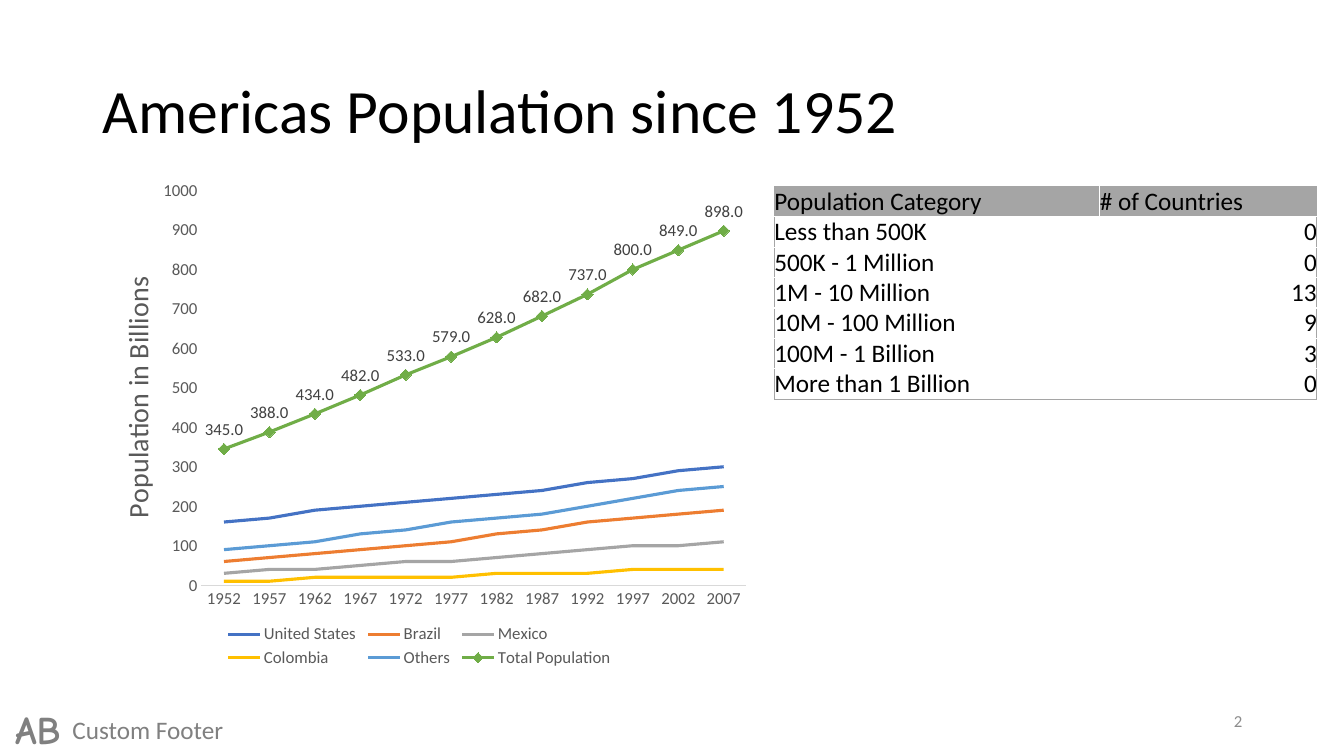
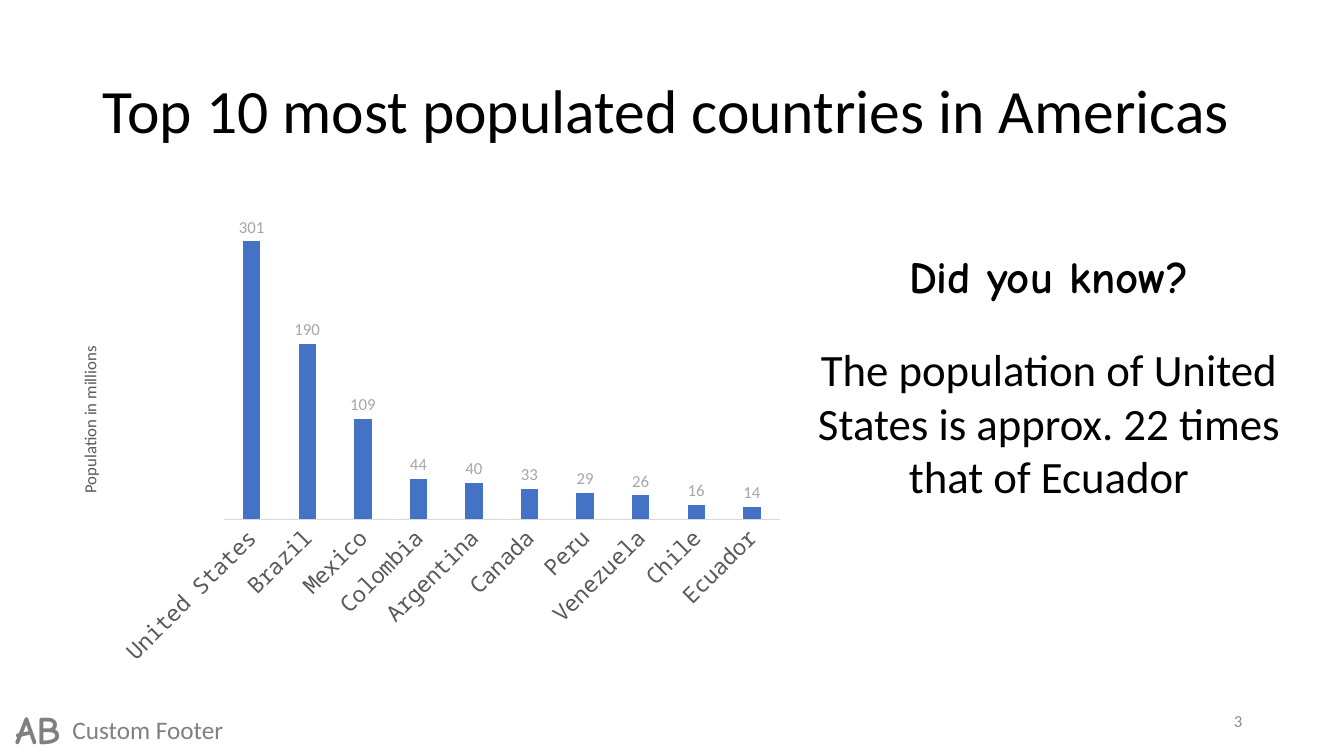
from lxml.etree import SubElement
from pptx import Presentation
from pptx.chart.data import CategoryChartData
from pptx.dml.color import RGBColor
from pptx.enum.chart import (XL_CHART_TYPE, XL_LABEL_POSITION, XL_LEGEND_POSITION,
                             XL_MARKER_STYLE, XL_TICK_MARK)
from pptx.enum.text import MSO_ANCHOR, PP_ALIGN
from pptx.oxml import parse_xml
from pptx.oxml.ns import nsdecls, qn
from pptx.util import Inches, Pt

COLORS = {
    "black": "000000", "footer": "808080", "number": "8C8C8C", "axis": "595959",
    "rule": "D9D9D9", "label": "404040", "pale": "A6A6A6", "grid": "A5A5A5",
    "blue": "4472C4", "orange": "ED7D31", "gray": "A5A5A5",
    "gold": "FFC000", "sky": "5B9BD5", "green": "70AD47",
}
BODY, HAND, MONO = "Calibri", "Comic Neue", "Noto Sans Mono"
TITLE_BOX = (0.92, 0.4, 11.5, 1.45)


def rgb(name):
    return RGBColor.from_string(COLORS[name])


def style(font, size, color="black", name=BODY, bold=False):
    for key, value in {"size": Pt(size), "name": name, "bold": bold}.items():
        setattr(font, key, value)
    font.color.rgb = rgb(color)


def inches(box):
    return [Inches(v) for v in box]


def write(tf, text, size, align=PP_ALIGN.LEFT, anchor=MSO_ANCHOR.TOP, wrap=True, **font):
    tf.word_wrap, tf.vertical_anchor = wrap, anchor
    p = tf.paragraphs[0]
    p.alignment = align
    r = p.add_run()
    r.text = text
    style(r.font, size, **font)
    return p


def add_text(s, box, text, size, **fmt):
    return write(s.shapes.add_textbox(*inches(box)).text_frame, text, size, **fmt)


# Title, footer and slide number
def base_slide(prs, title, number):
    s = prs.slides.add_slide(prs.slide_layouts[5])
    sp = s.shapes.title
    for key, value in zip(("left", "top", "width", "height"), inches(TITLE_BOX)):
        setattr(sp, key, value)
    p = write(sp.text_frame, title, 44, anchor=MSO_ANCHOR.MIDDLE)
    p.line_spacing = 0.9
    add_text(s, (0, 6.95, 0.75, 0.57), "AB", 28, align=PP_ALIGN.CENTER, wrap=False,
             color="footer", name=HAND, bold=True)
    add_text(s, (0.62, 7.04, 3, 0.4), "Custom Footer", 18, color="footer")
    add_text(s, (9.42, 6.95, 3, 0.4), str(number), 12, align=PP_ALIGN.RIGHT,
             anchor=MSO_ANCHOR.MIDDLE, color="number")
    return s


# Manual layout of a chart part, in shares of the chart
def place(part, index, inner=False, **shares):
    old = part.find(qn("c:layout"))
    if old is not None:
        index = part.index(old)
        part.remove(old)
    layout = parse_xml(f"<c:layout {nsdecls('c')}><c:manualLayout/></c:layout>")
    settings = {"layoutTarget": "inner"} if inner else {}
    settings.update({"xMode": "edge", "yMode": "edge"}, **shares)
    for key, value in settings.items():
        SubElement(layout[0], qn(f"c:{key}")).set("val", str(value))
    part.insert(index, layout)


def add_chart(s, box, kind, cats, series, top, cat_font, axis_title, title_size, title_at, plot):
    data = CategoryChartData()
    data.categories = cats
    for name, values in series:
        data.add_series(name, values)
    ch = s.shapes.add_chart(kind, *inches(box), data).chart
    ch.has_title = ch.has_legend = False
    style(ch.font, 10)
    ch.plots[0].vary_by_categories = False
    cat, val = ch.category_axis, ch.value_axis
    for axis in (cat, val):
        axis.major_tick_mark = axis.minor_tick_mark = XL_TICK_MARK.NONE
        axis.has_major_gridlines = False
    style(cat.tick_labels.font, **cat_font)
    cat.format.line.color.rgb = rgb("rule")
    cat.format.line.width = Pt(0.75)
    style(val.tick_labels.font, 12, "axis")
    val.format.line.fill.background()
    val.minimum_scale, val.maximum_scale = 0, top
    # Axis title
    title = val.axis_title
    tf = title.text_frame
    r = tf.paragraphs[0].add_run()
    r.text = axis_title
    style(r.font, title_size, "axis")
    body = tf._txBody.find(qn("a:bodyPr"))
    body.set("rot", "-5400000")
    body.set("vert", "horz")
    place(title._element, 1, x=title_at[0], y=title_at[1])
    area = ch._chartSpace.chart.plotArea
    place(area, 0, inner=True, **dict(zip("xywh", plot)))
    return ch


def label_values(labels, fmt, color, position):
    for key, value in {"show_value": True, "number_format": fmt,
                       "number_format_is_linked": False, "position": position}.items():
        setattr(labels, key, value)
    style(labels.font, 12, color)


# Population by country over time
def population_chart(s, box):
    series = [
        ("United States", "blue", (160, 170, 190, 200, 210, 220, 230, 240, 260, 270, 290, 300)),
        ("Brazil", "orange", (60, 70, 80, 90, 100, 110, 130, 140, 160, 170, 180, 190)),
        ("Mexico", "gray", (30, 40, 40, 50, 60, 60, 70, 80, 90, 100, 100, 110)),
        ("Colombia", "gold", (10, 10, 20, 20, 20, 20, 30, 30, 30, 40, 40, 40)),
        ("Others", "sky", (90, 100, 110, 130, 140, 160, 170, 180, 200, 220, 240, 250)),
        ("Total Population", "green",
         (345, 388, 434, 482, 533, 579, 628, 682, 737, 800, 849, 898)),
    ]
    ch = add_chart(s, box, XL_CHART_TYPE.LINE_MARKERS, [str(y) for y in range(1952, 2008, 5)],
                   [(name, values) for name, _, values in series], 1000,
                   {"size": 12, "color": "axis"}, "Population in Billions", 20,
                   (0.05, 0.2), (0.18, 0.04, 0.8, 0.78))
    ch.value_axis.major_unit = 100
    for line, (_, color, _) in zip(ch.plots[0].series, series):
        line.smooth = False
        line.format.line.color.rgb = rgb(color)
        line.format.line.width = Pt(2.25)
        line.marker.style = XL_MARKER_STYLE.NONE
    # Total: diamonds and value labels
    total = ch.plots[0].series[-1]
    total.marker.style, total.marker.size = XL_MARKER_STYLE.DIAMOND, 8
    total.marker.format.fill.solid()
    total.marker.format.fill.fore_color.rgb = rgb("green")
    total.marker.format.line.color.rgb = rgb("green")
    label_values(total.data_labels, "#,##0.0", "label", XL_LABEL_POSITION.ABOVE)
    # Legend
    ch.has_legend = True
    ch.legend.position, ch.legend.include_in_layout = XL_LEGEND_POSITION.BOTTOM, False
    style(ch.legend.font, 12, "axis")
    place(ch.legend._element, 1, x=0.21, y=0.89, w=0.58, h=0.1)


def set_borders(cell, sides):
    tcPr = cell._tc.get_or_add_tcPr()
    for i, side in enumerate(x for x in "LRTB" if x in sides):
        tcPr.insert(i, parse_xml(
            f'<a:ln{side} {nsdecls("a")} w="6350"><a:solidFill>'
            f'<a:srgbClr val="{COLORS["grid"]}"/></a:solidFill></a:ln{side}>'))


# Countries by population category
def category_table(s, box):
    rows = [("Population Category", "# of Countries"), ("Less than 500K", "0"),
            ("500K - 1 Million", "0"), ("1M - 10 Million", "13"), ("10M - 100 Million", "9"),
            ("100M - 1 Billion", "3"), ("More than 1 Billion", "0")]
    last = len(rows) - 1
    table = s.shapes.add_table(len(rows), 2, *inches(box)).table
    table.first_row = table.horz_banding = False
    for col, share in zip(table.columns, (0.6, 0.4)):
        col.width = Inches(box[2] * share)
    for i, row in enumerate(rows):
        for j, text in enumerate(row):
            cell = table.cell(i, j)
            for side in ("left", "right", "top", "bottom"):
                setattr(cell, f"margin_{side}", 0)
            cell.vertical_anchor = MSO_ANCHOR.BOTTOM
            p = cell.text_frame.paragraphs[0]
            p.alignment = PP_ALIGN.RIGHT if i and j else PP_ALIGN.LEFT
            r = p.add_run()
            r.text = text
            style(r.font, 18)
            if i == 0:
                cell.fill.solid()
                cell.fill.fore_color.rgb = rgb("grid")
            else:
                cell.fill.background()
            set_borders(cell, "LR"[j] + ("T" if i == 0 else "B" if i == last else ""))


# Ten largest countries
def country_chart(s, box):
    countries = {"United States": 301, "Brazil": 190, "Mexico": 109, "Colombia": 44,
                 "Argentina": 40, "Canada": 33, "Peru": 29, "Venezuela": 26,
                 "Chile": 16, "Ecuador": 14}
    ch = add_chart(s, box, XL_CHART_TYPE.COLUMN_CLUSTERED, list(countries),
                   [("Series 1", list(countries.values()))], 350,
                   {"size": 16, "color": "axis", "name": MONO}, "Population in millions", 12,
                   (0.03, 0.32), (0.23, 0.02, 0.75, 0.66))
    ch.value_axis.visible = False
    ch.category_axis._element.find(qn("c:txPr")).find(qn("a:bodyPr")).set("rot", "-2700000")
    plot = ch.plots[0]
    plot.gap_width, plot.overlap = 219, -27
    bars = plot.series[0]
    bars.format.fill.solid()
    bars.format.fill.fore_color.rgb = rgb("blue")
    label_values(bars.data_labels, "0", "pale", XL_LABEL_POSITION.OUTSIDE_END)


# Heading with a fact below it
def fact(s, box):
    x, y, w, h = box
    add_text(s, (x, y, w, 0.64), "Did you know?", 32, align=PP_ALIGN.CENTER,
             name=HAND, bold=True)
    add_text(s, (x, y + 0.92, w, h - 0.92),
             "The population of United States is approx. 22 times that of Ecuador",
             32, align=PP_ALIGN.CENTER)


prs = Presentation()
prs.slide_width, prs.slide_height = Inches(13.33), Inches(7.5)

s = base_slide(prs, "Americas Population since 1952", 2)
population_chart(s, (0.78, 1.69, 6.76, 5.02))
category_table(s, (7.68, 1.85, 5.38, 2.11))

s = base_slide(prs, "Top 10 most populated countries in Americas", 3)
country_chart(s, (0.53, 1.85, 7.35, 4.86))
fact(s, (8, 2.42, 4.81, 2.64))

prs.save("out.pptx")
